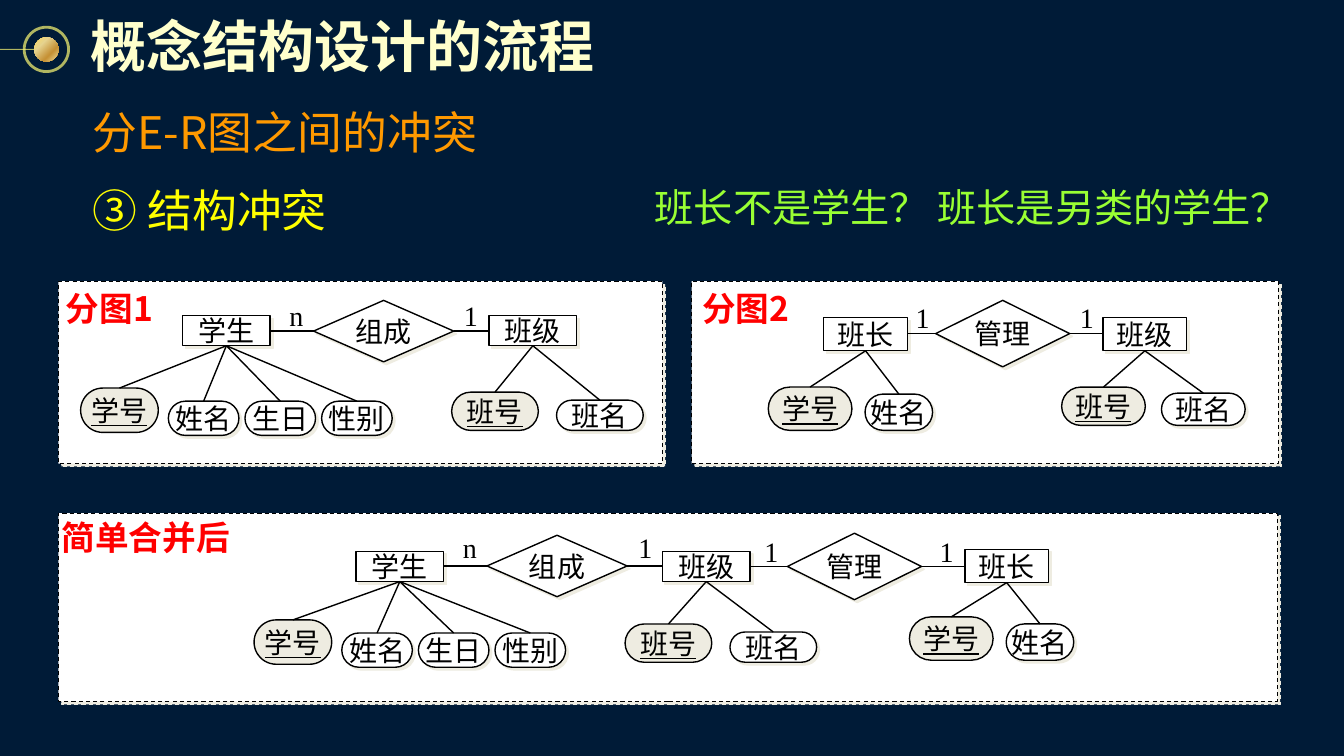
from lxml import etree
from pptx import Presentation
from pptx.dml.color import RGBColor
from pptx.enum import dml, shapes, text
from pptx.oxml import ns
from pptx.util import Inches, Pt

NAVY = RGBColor(0x00, 0x1B, 0x37)
CREAM = RGBColor(0xFF, 0xFF, 0xCC)
ORANGE = RGBColor(0xFF, 0x99, 0x00)
YELLOW = RGBColor(0xFF, 0xFF, 0x00)
GREEN = RGBColor(0x99, 0xFF, 0x33)
RED = RGBColor(0xFF, 0x00, 0x00)
BLACK = RGBColor(0x00, 0x00, 0x00)
WHITE = RGBColor(0xFF, 0xFF, 0xFF)
BEIGE = RGBColor(0xEE, 0xEC, 0xE1)
GOLD = RGBColor(0xFC, 0xF8, 0x73)
BEAD_STOPS = [(0, "FCD860"), (31, "E6D38F"), (68, "C69135"), (100, "F1DF97")]

SANS, SERIF = "Noto Sans CJK SC", "Times New Roman"
RECT, DIAMOND = shapes.MSO_SHAPE.RECTANGLE, shapes.MSO_SHAPE.DIAMOND
PILL, OVAL = shapes.MSO_SHAPE.ROUNDED_RECTANGLE, shapes.MSO_SHAPE.OVAL
LEFT, CENTER = text.PP_ALIGN.LEFT, text.PP_ALIGN.CENTER

# text, box, size, colour, alignment
HEADINGS = [
    ("分E-R图之间的冲突", (0.82, 0.99, 9.8, 0.64), 32, ORANGE, LEFT),
    ("③ 结构冲突", (0.82, 1.76, 9.17, 0.63), 32, YELLOW, LEFT),
    ("班长不是学生？ 班长是另类的学生？", (6.38, 1.76, 6.53, 0.59), 28, GREEN, CENTER),
]

# Entity kinds: size, then attributes as (name, dx from entity, dy in row, w, h);
# the first attribute is the key
STUDENT = ("学生", 0.87, 0.3, [("学号", -1.01, 0, 0.77, 0.44), ("姓名", -0.14, 0.13, 0.7, 0.34),
                             ("生日", 0.62, 0.13, 0.7, 0.34), ("性别", 1.38, 0.13, 0.7, 0.34)])
CLASS = ("班级", 0.87, 0.3, [("班号", -0.37, 0, 0.86, 0.38), ("班名", 0.67, 0.08, 0.86, 0.3)])
LED_CLASS = ("班级", 0.83, 0.33, [("班号", -0.41, 0, 0.83, 0.38), ("班名", 0.58, 0.06, 0.83, 0.32)])
MONITOR = ("班长", 0.83, 0.33, [("学号", -0.55, 0, 0.83, 0.43), ("姓名", 0.41, 0.07, 0.67, 0.36)])

# Entities: kind, x, y, attribute row y.
# Relations sit between neighbouring entities: name, diamond box,
# then (text, centre x, y) of each cardinality
DIAGRAMS = [
    {"label": "分图1", "label_box": (0.42, 2.86, 1.33, 0.4), "panel": (0.58, 2.79, 5.99, 1.81),
     "entities": [(STUDENT, 1.81, 3.13, 3.85), (CLASS, 4.85, 3.13, 3.89)],
     "relations": [("组成", (3.11, 2.98, 1.39, 0.61), [("n", 2.94, 2.98), ("1", 4.67, 2.98)])]},
    {"label": "分图2", "label_box": (6.73, 2.86, 1.33, 0.4), "panel": (6.86, 2.79, 5.82, 1.81),
     "entities": [(MONITOR, 8.17, 3.15, 3.84), (LED_CLASS, 10.94, 3.15, 3.84)],
     "relations": [("管理", (9.28, 2.98, 1.33, 0.66), [("1", 9.15, 3), ("1", 10.78, 3)])]},
    {"label": "简单合并后", "label_box": (0.48, 5.13, 1.93, 0.4), "panel": (0.58, 5.09, 12.09, 1.87),
     "entities": [(STUDENT, 3.53, 5.47, 6.15), (CLASS, 6.57, 5.47, 6.19), (MONITOR, 9.57, 5.45, 6.12)],
     "relations": [("组成", (4.83, 5.31, 1.39, 0.61), [("n", 4.66, 5.28), ("1", 6.4, 5.28)]),
                   ("管理", (7.81, 5.29, 1.33, 0.66), [("1", 7.65, 5.32), ("1", 9.39, 5.32)])]},
]


def sub(parent, tag, **attrs):
    return etree.SubElement(parent, ns.qn(tag), attrs)


def add_shadow(effects, color, dist, blur=0):
    shadow = sub(effects, "a:outerShdw", blurRad=str(Pt(blur)), dist=str(Pt(dist)),
                 dir="2700000", algn="ctr", rotWithShape="0")
    sub(shadow, "a:srgbClr", val=str(color))


def fade(line):
    """Make a solid line 70 % opaque."""
    color = line.fill._xPr.find(".//" + ns.qn("a:srgbClr"))
    sub(color, "a:alpha", val="70000")


def write(sp, words, size, color, font, align=CENTER, inset=0, bold=False, underline=False):
    tf = sp.text_frame
    tf.word_wrap = False
    tf.vertical_anchor = text.MSO_ANCHOR.MIDDLE
    tf.margin_left = tf.margin_right = Inches(inset)
    tf.margin_top = tf.margin_bottom = Inches(inset / 2)
    p = tf.paragraphs[0]
    p.alignment = align
    r = p.add_run()
    r.text = words
    r.font.size, r.font.name = Pt(size), font
    r.font.bold, r.font.underline = bold, underline
    r.font.color.rgb = color
    sub(r._r.get_or_add_rPr(), "a:ea", typeface=SANS)
    return r


def add_text(box, *args, **kwargs):
    return write(s.shapes.add_textbox(*map(Inches, box)), *args, **kwargs)


def add_line(x1, y1, x2, y2, color=BLACK, width=1):
    c = s.shapes.add_connector(shapes.MSO_CONNECTOR.STRAIGHT, *map(Inches, (x1, y1, x2, y2)))
    c.line.color.rgb = color
    c.line.width = Pt(width)
    sub(c._element.spPr, "a:effectLst")
    return c


def add_node(kind, box, words=None, key=False, width=1):
    """Add an outlined shape; keys are beige and underlined, others cast a shadow."""
    sp = s.shapes.add_shape(kind, *map(Inches, box))
    sp.shadow.inherit = False
    if kind == PILL:
        sp.adjustments[0] = 0.5
    sp.fill.solid()
    sp.fill.fore_color.rgb = BEIGE if key else WHITE
    sp.line.color.rgb = BLACK
    sp.line.width = Pt(width)
    if not key:
        add_shadow(sp._element.spPr.find(ns.qn("a:effectLst")), BEIGE, 2.8)
    if words:
        write(sp, words, 20, BLACK, SANS if key else SERIF, underline=key)
    return sp


def add_entity(kind, x, y, row_y):
    name, w, h, attributes = kind
    add_node(RECT, (x, y, w, h), name)
    for i, (attr, dx, dy, aw, ah) in enumerate(attributes):
        add_node(PILL, (x + dx, row_y + dy, aw, ah), attr, key=i == 0)
        add_line(x + w / 2, y + h, x + dx + aw / 2, row_y + dy)


def add_relation(name, box, cardinalities, before, after):
    x, y, w, h = box
    mid = y + h / 2
    add_node(DIAMOND, box, name)
    add_line(before[1] + before[0][1], mid, x, mid)
    add_line(x + w, mid, after[1], mid)
    for mark, center, top in cardinalities:
        add_text((center - 0.25, top, 0.5, 0.3), mark, 20, BLACK, SERIF)


def add_bullet_ornament():
    ring, bead = (s.shapes.add_shape(OVAL, *map(Inches, (x, y, d, d)))
                  for x, y, d in [(0.24, 0.27, 0.44), (0.34, 0.37, 0.24)])
    ring.fill.background()
    ring.line.color.rgb = GOLD
    ring.line.width = Pt(2)
    fade(ring.line)
    fade(add_line(0, 0.49, 0.34, 0.49, GOLD, 0.75).line)
    bead.rotation = 270
    bead.line.fill.background()
    bead.fill.gradient()
    grad = bead._element.spPr.find(ns.qn("a:gradFill"))
    stops = grad.find(ns.qn("a:gsLst"))
    for stop in list(stops):
        stops.remove(stop)
    for pos, color in BEAD_STOPS:
        sub(sub(stops, "a:gs", pos=str(pos * 1000)), "a:srgbClr", val=color)
    grad.find(ns.qn("a:lin")).set("ang", str(135 * 60000))
    for sp in (ring, bead):
        sp.shadow.inherit = False


prs = Presentation()
prs.slide_width, prs.slide_height = Inches(13.33), Inches(7.5)
s = prs.slides.add_slide(prs.slide_layouts[6])
s.background.fill.solid()
s.background.fill.fore_color.rgb = NAVY

add_bullet_ornament()
title = add_text((0.82, 0.03, 5.21, 0.83), "概念结构设计的流程", 40, CREAM, "Arial", LEFT, 0.08, bold=True)
effects = etree.Element(ns.qn("a:effectLst"))
add_shadow(effects, BLACK, 3, 3)
title._r.rPr.find(ns.qn("a:solidFill")).addnext(effects)
for words, box, size, color, align in HEADINGS:
    add_text(box, words, size, color, SANS, align, 0.1)

for diagram in DIAGRAMS:
    panel = add_node(RECT, diagram["panel"], width=0.75)
    panel.line.dash_style = dml.MSO_LINE.DASH
    entities = diagram["entities"]
    for entity in entities:
        add_entity(*entity)
    for relation, before, after in zip(diagram["relations"], entities, entities[1:]):
        add_relation(*relation, before, after)
    add_text(diagram["label_box"], diagram["label"], 24, RED, SANS, bold=True)

prs.save("out.pptx")
